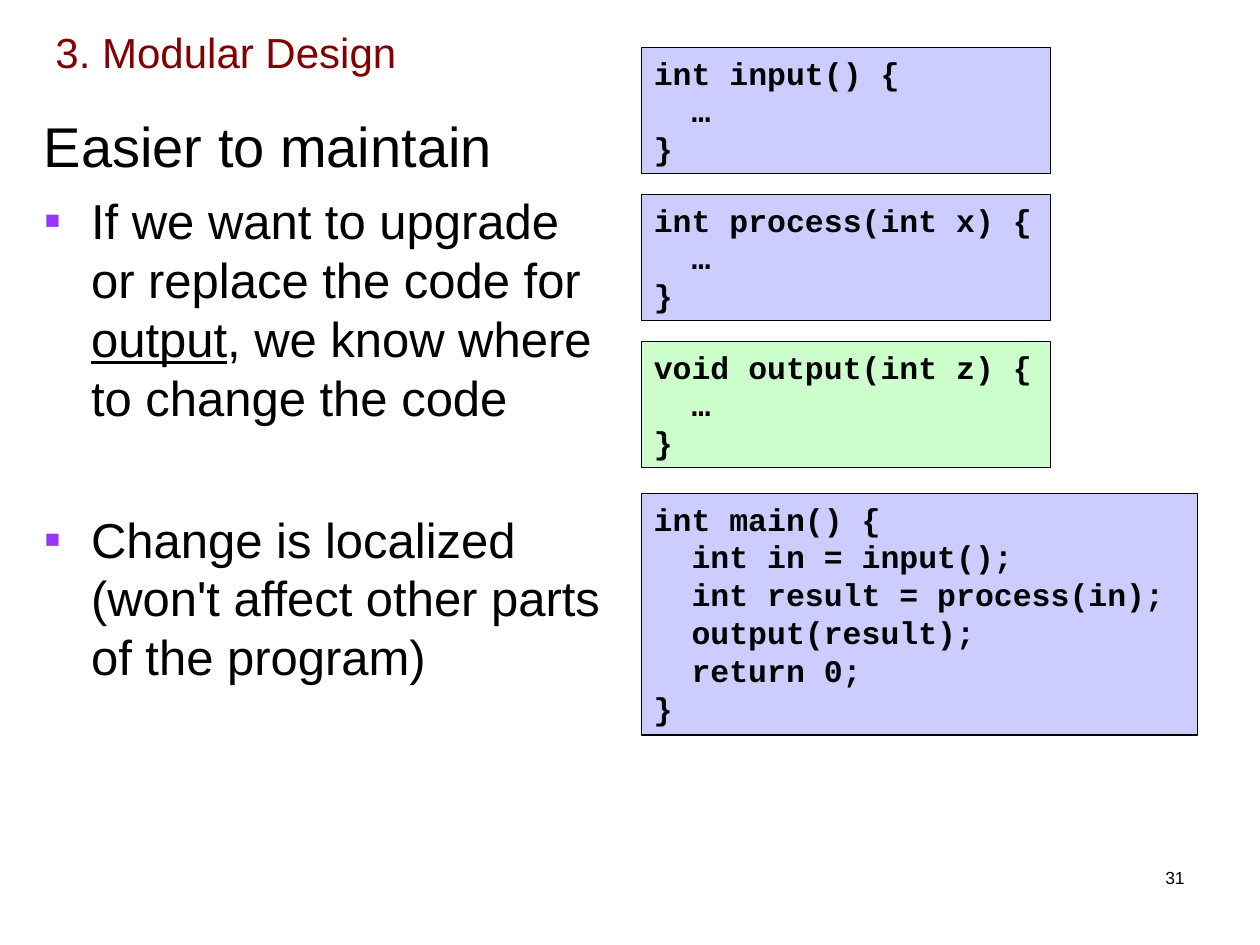
"""Builds the slide "3. Modular Design": two benefits beside four code boxes."""
from dataclasses import dataclass

from lxml.etree import SubElement
from pptx import Presentation
from pptx.dml.color import RGBColor
from pptx.enum.shapes import MSO_SHAPE
from pptx.enum.text import MSO_ANCHOR, PP_ALIGN
from pptx.oxml.ns import qn
from pptx.util import Pt


@dataclass(frozen=True)
class Theme:
    sans: str = "Arial"
    mono: str = "Courier New"
    title_size: int = 24
    lead_size: int = 32
    bullet_size: int = 28
    code_size: int = 18
    number_size: int = 10
    title: str = "800000"
    text: str = "000000"
    bullet: str = "9933FF"
    code: str = "CCCCFF"
    changed: str = "CCFFCC"


THEME = Theme()
TITLE = "3. Modular Design"
LEAD = "Easier to maintain"
BULLETS = [
    (7, ["If we want to upgrade or replace the code for ", "output",
         ", we know where to change the code"]),
    (47.5, ["Change is localized (won't affect other parts of the program)"]),
]
UNDERLINED = "output"
PAGE_NUMBER = "31"
FUNCTIONS = [
    (["int input() {", "  …", "}"], THEME.code),
    (["int process(int x) {", "  …", "}"], THEME.code),
    (["void output(int z) {", "  …", "}"], THEME.changed),
]
MAIN = ["int main() {", "  int in = input();", "  int result = process(in);",
        "  output(result);", "  return 0;", "}"]
CODE_LEFT, CODE_TOP, CODE_STEP = 366.5, 27.1, 84


def set_font(paragraph, name, size, color, bold=False):
    font = paragraph.font
    font.name, font.size, font.bold = name, Pt(size), bold
    font.color.rgb = RGBColor.from_string(color)


def add_text_box(page, *frame):
    text = page.shapes.add_textbox(*map(Pt, frame)).text_frame
    text.word_wrap = True
    return text


def add_bullet(paragraph, indent):
    properties = paragraph._p.get_or_add_pPr()
    properties.set("marL", str(Pt(indent)))
    properties.set("indent", str(Pt(-indent)))
    color = SubElement(properties, qn("a:buClr"))
    SubElement(color, qn("a:srgbClr"), val=THEME.bullet)
    SubElement(properties, qn("a:buFont"), typeface=THEME.sans)
    SubElement(properties, qn("a:buChar"), char="▪")


def add_title(page):
    title = page.shapes.title
    title.left, title.top, title.width, title.height = map(Pt, (24.5, 10, 674.5, 39))
    title.text_frame.text = TITLE
    title.text_frame.vertical_anchor = MSO_ANCHOR.MIDDLE
    paragraph = title.text_frame.paragraphs[0]
    paragraph.alignment = PP_ALIGN.LEFT
    set_font(paragraph, THEME.sans, THEME.title_size, THEME.title)


def add_body(page):
    text = add_text_box(page, 18, 60, 338.4, 422.6)
    lead = text.paragraphs[0]
    lead.text = LEAD
    lead.space_before = Pt(8)
    set_font(lead, THEME.sans, THEME.lead_size, THEME.text)
    for gap, spans in BULLETS:
        paragraph = text.add_paragraph()
        paragraph.space_before = Pt(gap)
        add_bullet(paragraph, 27)
        set_font(paragraph, THEME.sans, THEME.bullet_size, THEME.text)
        for words in spans:
            span = paragraph.add_run()
            span.text = words
            if words == UNDERLINED:
                span.font.underline = True


def add_code(page, lines, color, top, width, height):
    box = page.shapes.add_shape(
        MSO_SHAPE.RECTANGLE, *map(Pt, (CODE_LEFT, top, width, height)))
    box.shadow.inherit = False
    box.fill.solid()
    box.fill.fore_color.rgb = RGBColor.from_string(color)
    box.line.color.rgb = RGBColor.from_string(THEME.text)
    box.line.width = Pt(0.75)
    text = box.text_frame
    text.vertical_anchor = MSO_ANCHOR.TOP
    text.text = "\n".join(lines)
    for paragraph in text.paragraphs:
        paragraph.alignment = PP_ALIGN.LEFT
        set_font(paragraph, THEME.mono, THEME.code_size, THEME.text, bold=True)


def add_page_number(page):
    paragraph = add_text_box(page, 516, 492, 168, 36).paragraphs[0]
    paragraph.text = PAGE_NUMBER
    paragraph.alignment = PP_ALIGN.RIGHT
    set_font(paragraph, THEME.sans, THEME.number_size, THEME.text)


def main():
    deck = Presentation()
    deck.slide_width, deck.slide_height = Pt(720), Pt(540)
    page = deck.slides.add_slide(deck.slide_layouts[5])
    add_title(page)
    add_code(page, MAIN, THEME.code, 282, 318, 138)
    add_body(page)
    for index, (lines, color) in enumerate(FUNCTIONS):
        add_code(page, lines, color, CODE_TOP + index * CODE_STEP, 234, 72)
    add_page_number(page)
    deck.save("out.pptx")


if __name__ == "__main__":
    main()
